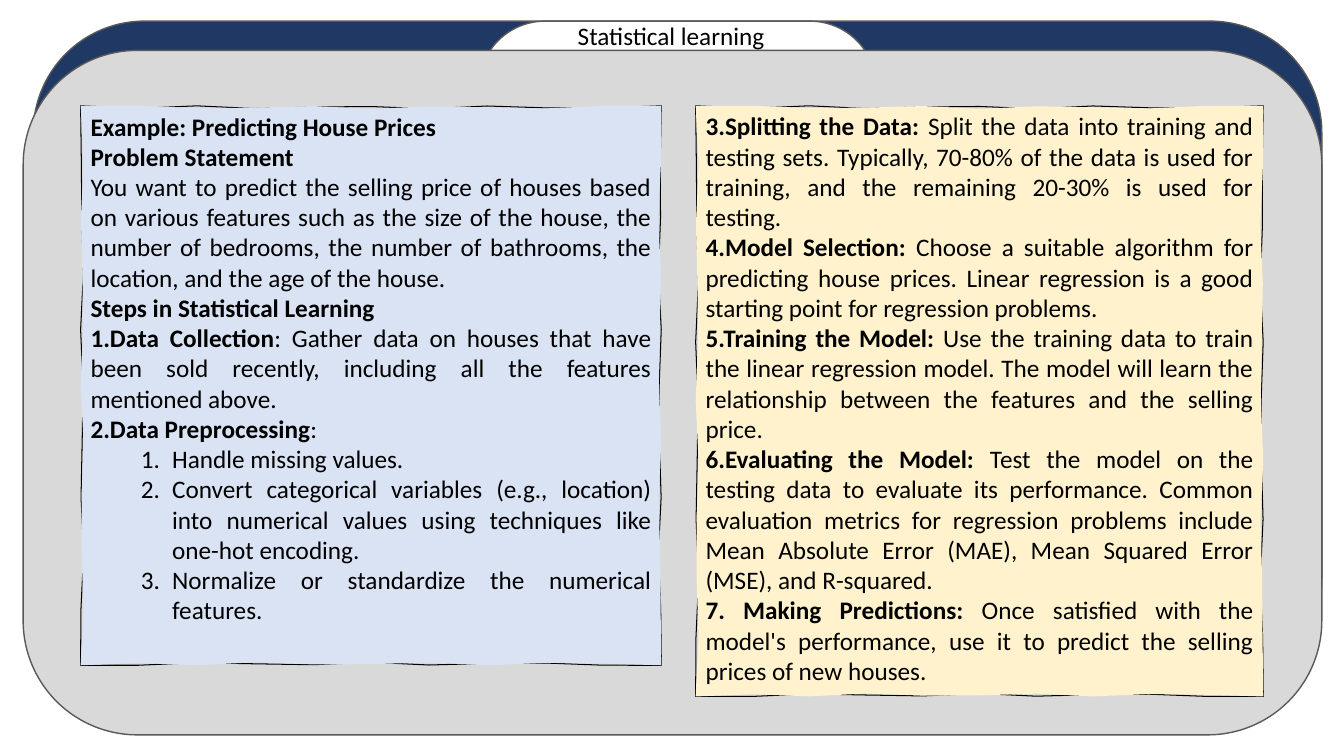
"""Build a slide that walks through a statistical learning example in two panels."""
from copy import deepcopy
from dataclasses import dataclass
from math import sin

from lxml.etree import SubElement
from pptx import Presentation
from pptx.dml.color import RGBColor
from pptx.enum.shapes import MSO_SHAPE as Shape
from pptx.enum.text import MSO_ANCHOR as Anchor, MSO_AUTO_SIZE as AutoSize, PP_ALIGN as Align
from pptx.oxml.ns import qn
from pptx.util import Inches, Pt


@dataclass(frozen=True)
class Theme:
    font: str = "Calibri"
    size: int = 18
    ink: str = "000000"
    navy: str = "203864"
    white: str = "FFFFFF"
    grey: str = "D9D9D9"
    frame_line: str = "595959"
    blue: str = "DAE3F3"
    cream: str = "FFF2CC"


theme = Theme()


def write(para, text, bold=False, color=theme.ink):
    span = para.add_run()
    span.text = text
    span.font.name = theme.font
    span.font.size = Pt(theme.size)
    span.font.bold = bold
    span.font.color.rgb = RGBColor.from_string(color)


def wavy_outline(left, top, width, height, phase):
    corners = [(left, top), (left + width, top), (left + width, top + height), (left, top + height)]
    inward = [(0, 1), (-1, 0), (0, -1), (1, 0)]
    steps = 10
    points = []
    for side, (x, y) in enumerate(corners):
        next_x, next_y = corners[(side + 1) % 4]
        for step in range(steps):
            along = step / steps
            depth = 0.015 * (1 + sin(2.4 * step + side + phase)) if step else 0
            points.append((Inches(x + (next_x - x) * along + inward[side][0] * depth),
                           Inches(y + (next_y - y) * along + inward[side][1] * depth)))
    return points


deck = Presentation()
deck.slide_width, deck.slide_height = Inches(13.33), Inches(7.5)
page = deck.slides.add_slide(deck.slide_layouts[5])

frame = page.shapes.add_group_shape()
for left, top, width, height, color in [
    (0.33, 0.21, 12.78, 6.63, theme.navy),
    (4.75, 0.21, 3.94, 7.06, theme.white),
    (0.23, 0.5, 12.88, 6.79, theme.grey),
]:
    plate = frame.shapes.add_shape(
        Shape.ROUNDED_RECTANGLE, Inches(left), Inches(top), Inches(width), Inches(height))
    plate.shadow.inherit = False
    plate.fill.solid()
    plate.fill.fore_color.rgb = RGBColor.from_string(color)
    plate.line.color.rgb = RGBColor.from_string(theme.frame_line)
    plate.line.width = Pt(1)

title = page.shapes.title
title.left, title.top, title.width, title.height = map(Inches, (5.63, 0.15, 2.07, 0.4))
title.text_frame.auto_size = AutoSize.NONE
title.text_frame.word_wrap = False
title.text_frame.vertical_anchor = Anchor.TOP
title.text_frame.paragraphs[0].alignment = Align.LEFT
write(title.text_frame.paragraphs[0], "Statistical learning")
page.shapes._spTree.append(title._element)

example = [
    ("plain", "Example: Predicting House Prices", ""),
    ("plain", "Problem Statement", ""),
    ("plain", "", "You want to predict the selling price of houses based on various features such as "
     "the size of the house, the number of bedrooms, the number of bathrooms, the location, "
     "and the age of the house."),
    ("plain", "Steps in Statistical Learning", ""),
    ("step", "Data Collection", ": Gather data on houses that have been sold recently, "
     "including all the features mentioned above."),
    ("step", "Data Preprocessing", ":"),
    ("substep", "", "Handle missing values."),
    ("substep", "", "Convert categorical variables (e.g., location) into numerical values "
     "using techniques like one-hot encoding."),
    ("substep", "", "Normalize or standardize the numerical features."),
]
later_steps = [
    ("plain", "3.Splitting the Data: ", "Split the data into training and testing sets. "
     "Typically, 70-80% of the data is used for training, and the remaining 20-30% is used for testing. "),
    ("plain", "4.Model Selection: ", "Choose a suitable algorithm for predicting house prices. "
     "Linear regression is a good starting point for regression problems. "),
    ("plain", "5.Training the Model: ", "Use the training data to train the linear regression model. "
     "The model will learn the relationship between the features and the selling price. "),
    ("plain", "6.Evaluating the Model: ", "Test the model on the testing data to evaluate its "
     "performance. Common evaluation metrics for regression problems include Mean Absolute Error (MAE), "
     "Mean Squared Error (MSE), and R-squared."),
    ("plain", "7. Making Predictions: ", "Once satisfied with the model's performance, "
     "use it to predict the selling prices of new houses."),
]

for left, width, height, color, entries in [
    (0.8, 5.76, 5.55, theme.blue, example),
    (6.9, 5.63, 5.86, theme.cream, later_steps),
]:
    stroke = wavy_outline(left, 1.05, width, height, phase=0)
    surface = wavy_outline(left, 1.05, width, height, phase=2)
    builder = page.shapes.build_freeform(*stroke[0])
    builder.add_line_segments(stroke[1:], close=True)
    builder.move_to(*surface[0])
    builder.add_line_segments(surface[1:], close=True)
    panel = builder.convert_to_shape()
    panel.shadow.inherit = False
    panel.fill.solid()
    panel.fill.fore_color.rgb = RGBColor.from_string(color)
    panel.line.color.rgb = RGBColor.from_string(theme.ink)
    panel.line.width = Pt(0.75)

    stroke_path = panel._element.find(".//" + qn("a:path"))
    surface_path = deepcopy(stroke_path)
    stroke_path.addnext(surface_path)
    half = len(stroke_path) // 2
    del stroke_path[half:]
    del surface_path[:half]
    stroke_path.set("fill", "none")
    surface_path.set("stroke", "0")

    body = panel.text_frame
    body.word_wrap = True
    body.auto_size = AutoSize.NONE
    body.vertical_anchor = Anchor.TOP
    for index, (kind, lead, detail) in enumerate(entries):
        para = body.add_paragraph() if index else body.paragraphs[0]
        para.alignment = Align.JUSTIFY
        if kind != "plain":
            settings = para._p.get_or_add_pPr()
            SubElement(settings, qn("a:buFont"), typeface="+mj-lt")
            SubElement(settings, qn("a:buAutoNum"), type="arabicPeriod")
        if kind == "substep":
            para.level = 1
            settings.set("marL", str(Inches(0.81)))
            settings.set("indent", str(Inches(-0.31)))
        if lead:
            write(para, lead, bold=True)
        if detail:
            write(para, detail)

deck.save("out.pptx")
